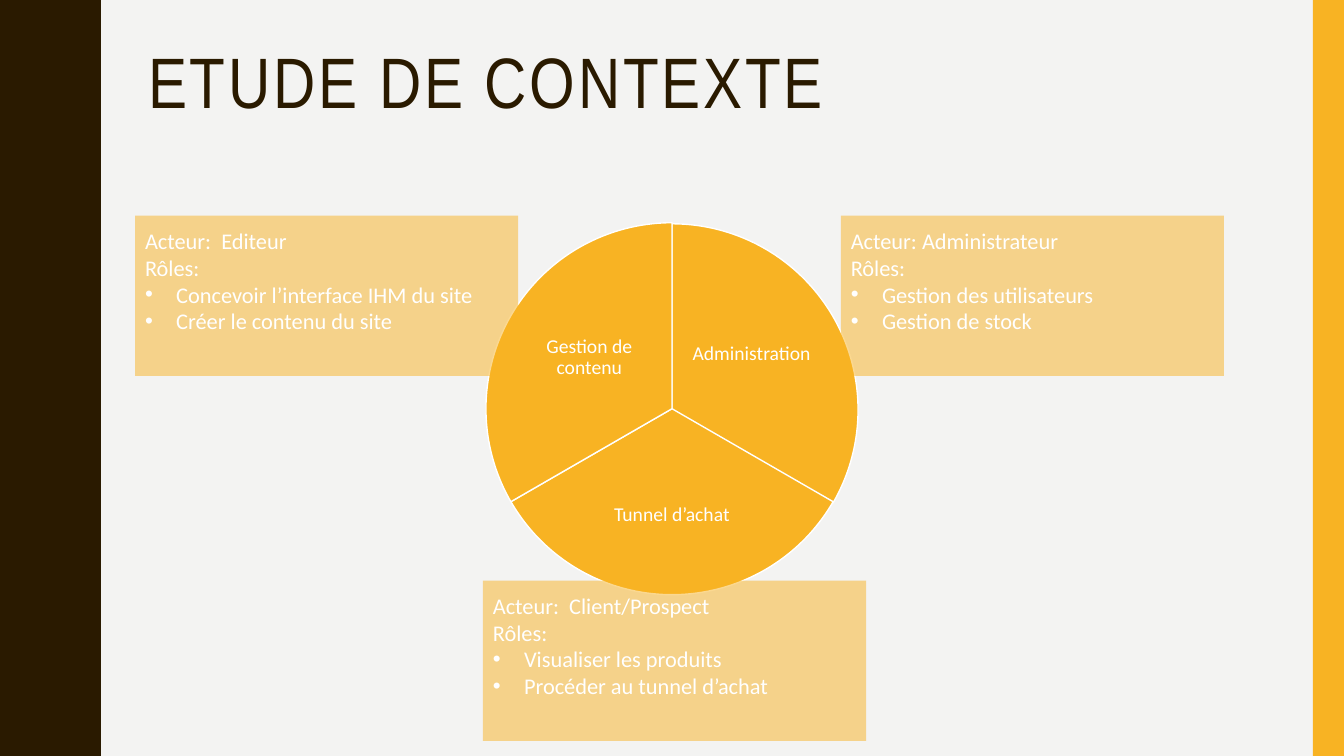
from lxml import etree
from pptx import Presentation
from pptx.dml import color
from pptx.enum import shapes, text
from pptx.oxml import ns
from pptx.util import Inches, Pt

WIDTH, HEIGHT = 13.33, 7.5
COLORS = {"paper": "F3F3F2", "brown": "2A1A00", "amber": "F8B323", "white": "FFFFFF"}
BODY_FONT, TITLE_FONT = "Calibri", "Arial Narrow"

TITLE = "ETUDE DE CONTEXTE"
# Label, start angle, pie top, label box
SECTORS = [
    ("Administration", 270, 2.22, (6.83, 2.9, 1.25, 1.23)),
    ("Tunnel d’achat", 30, 2.21, (5.83, 4.54, 1.67, 1.14)),
    ("Gestion de contenu", 150, 2.21, (5.22, 2.93, 1.25, 1.23)),
]
PIE_LEFT, PIE_SIZE = 4.82, 3.69
SWEEP = 360 // len(SECTORS)

# Heading, roles, left, top
ACTORS = [
    ("Acteur: Administrateur", ["Gestion des utilisateurs", "Gestion de stock"], 8.34, 2.14),
    ("Acteur:  Client/Prospect", ["Visualiser les produits", "Procéder au tunnel d’achat"], 4.79, 5.76),
    ("Acteur:  Editeur", ["Concevoir l’interface IHM du site", "Créer le contenu du site"], 1.34, 2.14),
]
CARD_SIZE = (3.8, 1.59)

# Trough to crest of the wavy edge; the other half mirrors it
WAVE_PERIOD = 1.5
HALF_WAVE = [
    (0.78, 0), (0.78, 0.07), (0.79, 0.14), (0.8, 0.2), (0.81, 0.25),
    (0.83, 0.29), (0.85, 0.33), (0.87, 0.38), (0.89, 0.42), (0.91, 0.46),
    (0.93, 0.5), (0.95, 0.55), (0.96, 0.61), (0.97, 0.68), (0.97, 0.75),
]


def rgb(name):
    """Return a named colour as an RGBColor."""
    return color.RGBColor.from_string(COLORS[name])


def paint(shape, fill, line=None, alpha=None):
    """Set fill, outline and optional opacity in percent."""
    shape.shadow.inherit = False
    shape.fill.solid()
    shape.fill.fore_color.rgb = rgb(fill)
    if alpha:
        tint = shape.fill._xPr.find(".//" + ns.qn("a:srgbClr"))
        etree.SubElement(tint, ns.qn("a:alpha"), val=str(alpha * 1000))
    if line:
        shape.line.color.rgb = rgb(line)
        shape.line.width = Pt(1)
    else:
        shape.line.fill.background()


def add_preset(page, kind, place, **look):
    """Add a painted preset shape at a place given in inches."""
    shape = page.shapes.add_shape(kind, *map(Inches, place))
    paint(shape, **look)
    return shape


def write(box, lines, size, font=BODY_FONT, ink="white", align=text.PP_ALIGN.LEFT,
          anchor=text.MSO_ANCHOR.MIDDLE, spacing=None, tracking=None, inset=None,
          bottom=None, bullets_from=None):
    """Write lines as paragraphs, bulleted from the given index on."""
    frame = box.text_frame
    frame.word_wrap = True
    frame.vertical_anchor = anchor
    if inset is not None:
        frame.margin_left = frame.margin_right = Inches(inset)
        frame.margin_top = frame.margin_bottom = Inches(inset)
    if bottom is not None:
        frame.margin_bottom = Inches(bottom)
    for index, line in enumerate(lines):
        para = frame.add_paragraph() if index else frame.paragraphs[0]
        para.alignment = align
        if spacing:
            para.line_spacing = spacing
        span = para.add_run()
        span.text = line
        span.font.size = Pt(size)
        span.font.name = font
        span.font.color.rgb = rgb(ink)
        if tracking:
            span.font._element.set("spc", str(tracking * 100))
        if bullets_from is not None and index >= bullets_from:
            props = para._p.get_or_add_pPr()
            props.set("marL", str(Inches(0.31)))
            props.set("indent", str(-Inches(0.31)))
            etree.SubElement(props, ns.qn("a:buFont"), typeface="Arial")
            etree.SubElement(props, ns.qn("a:buChar"), char="•")


def add_wave(page):
    """Draw the brown band with its repeating wavy edge."""
    mirrored = [(x, WAVE_PERIOD - y) for x, y in HALF_WAVE[-2::-1]]
    edge = [(x, y + turn * WAVE_PERIOD)
            for turn in range(round(HEIGHT / WAVE_PERIOD))
            for x, y in HALF_WAVE + mirrored]
    outline = page.shapes.build_freeform(0, 0, scale=Inches(1))
    outline.add_line_segments(edge + [(0, HEIGHT)], close=True)
    paint(outline.convert_to_shape(), "brown")


def add_sector(page, label, start, top, label_place):
    """Draw one third of the pie and its label."""
    sector = add_preset(page, shapes.MSO_SHAPE.PIE, (PIE_LEFT, top, PIE_SIZE, PIE_SIZE),
                        fill="amber", line="white")
    for index, angle in enumerate((start, start + SWEEP)):
        sector.adjustments[index] = angle % 360 * 0.6
    box = page.shapes.add_textbox(*map(Inches, label_place))
    write(box, [label], 14, align=text.PP_ALIGN.CENTER, spacing=0.9, inset=0.02)


def add_actor(page, heading, roles, left, top):
    """Draw the translucent card of one actor."""
    card = add_preset(page, shapes.MSO_SHAPE.RECTANGLE, (left, top, *CARD_SIZE),
                      fill="amber", alpha=50)
    write(card, [heading, "Rôles:", *roles], 16, bottom=0.35, bullets_from=2)


deck = Presentation()
deck.slide_width, deck.slide_height = Inches(WIDTH), Inches(HEIGHT)
page = deck.slides.add_slide(deck.slide_layouts[6])
page.background.fill.solid()
page.background.fill.fore_color.rgb = rgb("paper")

add_wave(page)
add_preset(page, shapes.MSO_SHAPE.RECTANGLE, (WIDTH - 0.31, 0, 0.31, HEIGHT), fill="amber")
title_box = page.shapes.add_textbox(*map(Inches, (1.37, 0.42, 11.13, 1.22)))
write(title_box, [TITLE], 51, font=TITLE_FONT, ink="brown",
      anchor=text.MSO_ANCHOR.TOP, spacing=0.9, tracking=2)
for sector in SECTORS:
    add_sector(page, *sector)
for actor in ACTORS:
    add_actor(page, *actor)

deck.save("out.pptx")
